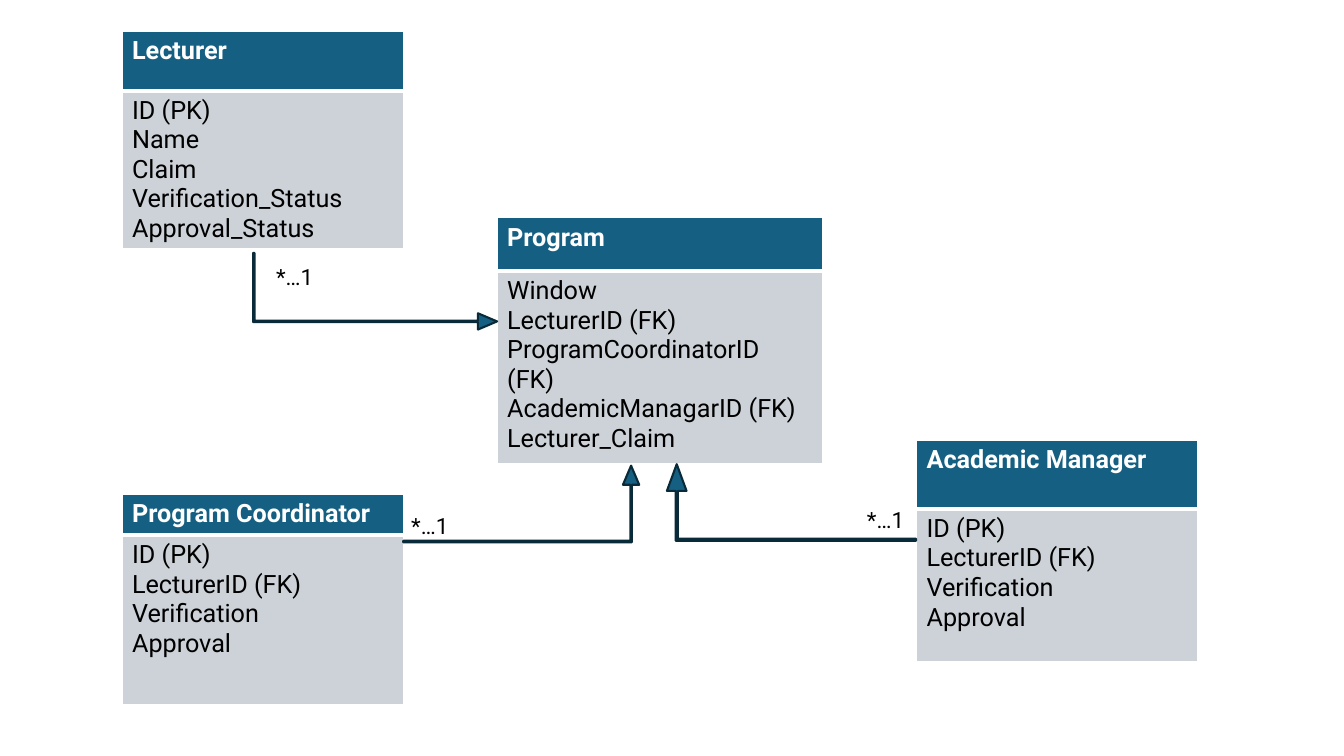
import dataclasses
import typing

import lxml.etree
import pptx
import pptx.dml.color
import pptx.enum.shapes
import pptx.enum.text
import pptx.oxml.ns
import pptx.util

Inches = pptx.util.Inches
Pt = pptx.util.Pt
RGBColor = pptx.dml.color.RGBColor
Preset = pptx.enum.shapes.MSO_SHAPE

HEADER_BLUE = RGBColor(0x15, 0x60, 0x82)
BODY_GREY = RGBColor(0xCC, 0xD2, 0xD8)
ARROW_EDGE = RGBColor(0x09, 0x2A, 0x39)
WHITE = RGBColor(0xFF, 0xFF, 0xFF)
BLACK = RGBColor(0x00, 0x00, 0x00)
FONT = "Roboto"
UP_BEND = (0.019, 0.106, 0.25)
SIDE_BEND = (0.027, 0.128, 0.348, 0)


@dataclasses.dataclass(frozen=True)
class Entity:
    name: str
    fields: tuple[str, ...]
    left: float
    top: float
    width: float
    header_height: float
    body_height: float


@dataclasses.dataclass(frozen=True)
class Relation:
    preset: typing.Any
    bend: tuple[float, ...]
    left: float
    top: float
    width: float
    height: float
    rotation: int
    label_left: float
    label_top: float


ENTITIES = (
    Entity("Program",
           ("Window", "LecturerID (FK)", "ProgramCoordinatorID (FK)",
            "AcademicManagarID (FK)", "Lecturer_Claim"),
           4.93, 2.16, 3.23, 0.53, 1.91),
    Entity("Program Coordinator",
           ("ID (PK)", "LecturerID (FK)", "Verification", "Approval"),
           1.21, 4.9, 2.79, 0.41, 1.68),
    Entity("Academic Manager",
           ("ID (PK)", "LecturerID (FK)", "Verification", "Approval"),
           9.09, 4.37, 2.79, 0.68, 1.51),
    Entity("Lecturer",
           ("ID (PK)", "Name", "Claim", "Verification_Status", "Approval_Status"),
           1.21, 0.31, 2.79, 0.59, 1.57),
)

RELATIONS = (
    Relation(Preset.BENT_UP_ARROW, UP_BEND, 4, 4.62, 2.34, 0.76, 0, 3.98, 5.03),
    Relation(Preset.BENT_ARROW, SIDE_BEND, 7.47, 3.75, 0.76, 2.47, 270, 8.5, 4.97),
    Relation(Preset.BENT_UP_ARROW, UP_BEND, 3.34, 1.68, 0.76, 2.42, 90, 2.64, 2.56),
)


def format_text(frame, size: int, color: RGBColor, bold: bool = False) -> None:
    for paragraph in frame.paragraphs:
        for run in paragraph.runs:
            run.font.name = FONT
            run.font.size = Pt(size)
            run.font.bold = bold
            run.font.color.rgb = color


def add_borders(cell, widths: dict[str, int]) -> None:
    qn = pptx.oxml.ns.qn
    properties = cell._tc.get_or_add_tcPr()
    for position, (side, width) in enumerate(widths.items()):
        border = lxml.etree.Element(qn(f"a:ln{side}"), w=str(Pt(width)))
        fill = lxml.etree.SubElement(border, qn("a:solidFill"))
        lxml.etree.SubElement(fill, qn("a:srgbClr"), val=str(WHITE))
        properties.insert(position, border)


def fill_cell(cell, text: str, fill: RGBColor, color: RGBColor, bold: bool,
              borders: dict[str, int]) -> None:
    cell.text_frame.text = text
    format_text(cell.text_frame, 18, color, bold)
    cell.fill.solid()
    cell.fill.fore_color.rgb = fill
    add_borders(cell, borders)


def draw_entity(slide, entity: Entity) -> None:
    table = slide.shapes.add_table(
        2, 1, Inches(entity.left), Inches(entity.top), Inches(entity.width),
        Inches(entity.header_height + entity.body_height)).table
    table.rows[0].height = Inches(entity.header_height)
    table.rows[1].height = Inches(entity.body_height)
    fill_cell(table.cell(0, 0), entity.name, HEADER_BLUE, WHITE, True,
              {"L": 1, "R": 1, "T": 1, "B": 3})
    fill_cell(table.cell(1, 0), "\n".join(entity.fields), BODY_GREY, BLACK, False,
              {"L": 1, "R": 1, "T": 3, "B": 1})


def draw_arrow(slide, relation: Relation) -> None:
    arrow = slide.shapes.add_shape(
        relation.preset, Inches(relation.left), Inches(relation.top),
        Inches(relation.width), Inches(relation.height))
    arrow.rotation = relation.rotation
    for index, value in enumerate(relation.bend):
        arrow.adjustments[index] = value
    arrow.shadow.inherit = False
    arrow.fill.solid()
    arrow.fill.fore_color.rgb = HEADER_BLUE
    arrow.line.color.rgb = ARROW_EDGE
    arrow.line.width = Pt(1.5)


def draw_multiplicity(slide, relation: Relation) -> None:
    multiplicity = slide.shapes.add_textbox(
        Inches(relation.label_left), Inches(relation.label_top),
        Inches(0.59), Inches(0.37)).text_frame
    multiplicity.word_wrap = True
    multiplicity.auto_size = pptx.enum.text.MSO_AUTO_SIZE.SHAPE_TO_FIT_TEXT
    multiplicity.text = "*…1"
    format_text(multiplicity, 16, BLACK)


def main() -> None:
    deck = pptx.Presentation()
    deck.slide_width = Inches(13.33)
    deck.slide_height = Inches(7.5)
    diagram = deck.slides.add_slide(deck.slide_layouts[6])
    for entity in ENTITIES:
        draw_entity(diagram, entity)
    for relation in RELATIONS:
        draw_arrow(diagram, relation)
    for relation in RELATIONS:
        draw_multiplicity(diagram, relation)
    deck.save("out.pptx")


if __name__ == "__main__":
    main()
